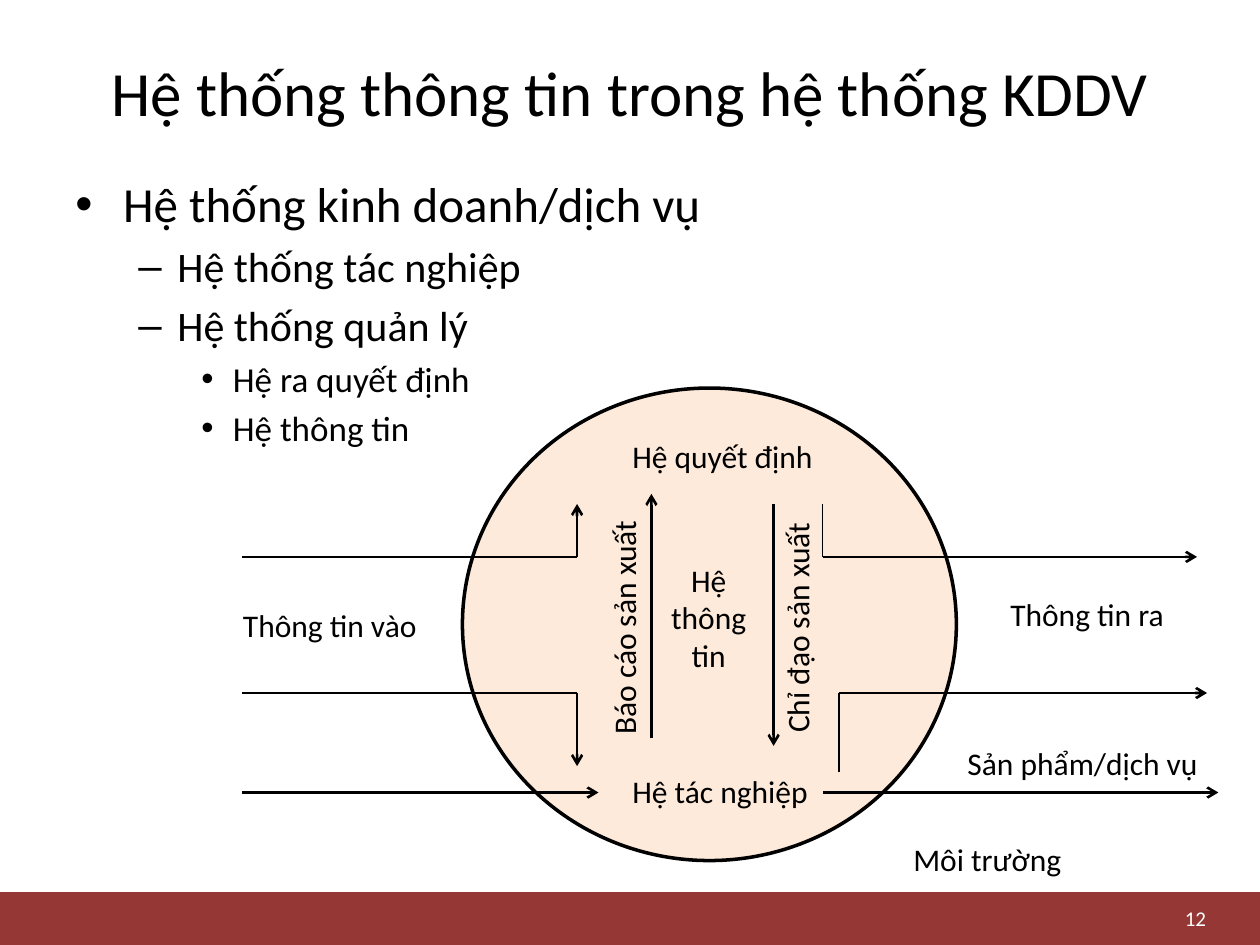
from itertools import pairwise

from lxml.etree import SubElement
from pptx import Presentation
from pptx.dml.color import RGBColor
from pptx.enum.shapes import MSO_CONNECTOR as Connector, MSO_SHAPE as Shape
from pptx.enum.text import MSO_ANCHOR as Anchor, PP_ALIGN as Align
from pptx.oxml.ns import qn
from pptx.util import Inches, Pt

BLACK = RGBColor(0x00, 0x00, 0x00)
WHITE = RGBColor(0xFF, 0xFF, 0xFF)
MAROON = RGBColor(0x95, 0x37, 0x35)
PEACH = RGBColor(0xFD, 0xEA, 0xDA)

# Each level: bullet, size in points, left indent and hanging width in inches
LEVELS = [("•", 28, 0.38, 0.38), ("–", 24, 0.81, 0.31), ("•", 20, 1.25, 0.25)]

OUTLINE = [
    (0, "Hệ thống kinh doanh/dịch vụ"),
    (1, "Hệ thống tác nghiệp"),
    (1, "Hệ thống quản lý"),
    (2, "Hệ ra quyết định"),
    (2, "Hệ thông tin"),
]

# Text, left, top, width
LABELS = [
    ("Hệ quyết định", 4.92, 3.42, 1.65),
    ("Hệ tác nghiệp", 4.92, 6.08, 1.61),
    ("Thông tin vào", 1.83, 4.76, 1.6),
    ("Thông tin ra", 7.92, 4.67, 1.44),
    ("Sản phẩm/dịch vụ", 7.58, 5.86, 2.08),
    ("Môi trường", 7.15, 6.62, 1.39),
]
VERTICAL_LABELS = [
    ("Báo cáo sản xuất", 3.99, 4.77, 1.92),
    ("Chỉ đạo sản xuất", 5.38, 4.77, 1.89),
]

UPPER_FLOW, LOWER_FLOW, BOTTOM_FLOW = 4.42, 5.5, 6.29
INPUT_LEFT, INPUT_TURN = 1.92, 4.58
OUTPUT_LEFT, OUTPUT_TURN = 6.53, 6.66
FLOWS = [
    [(INPUT_LEFT, UPPER_FLOW), (INPUT_TURN, UPPER_FLOW), (INPUT_TURN, 4)],
    [(INPUT_LEFT, LOWER_FLOW), (INPUT_TURN, LOWER_FLOW), (INPUT_TURN, 6.08)],
    [(INPUT_LEFT, BOTTOM_FLOW), (4.75, BOTTOM_FLOW)],
    [(OUTPUT_LEFT, UPPER_FLOW), (9.5, UPPER_FLOW)],
    [(OUTPUT_TURN, 6.13), (OUTPUT_TURN, LOWER_FLOW), (9.58, LOWER_FLOW)],
    [(OUTPUT_LEFT, BOTTOM_FLOW), (9.67, BOTTOM_FLOW)],
    [(5.17, 5.86), (5.17, 3.92)],
    [(6.14, 4), (6.14, 5.92)],
]


class SlideBuilder:
    font = "Calibri"

    def __init__(self, slide):
        self.slide = slide

    def shape(self, kind, left, top, width, height, fill, line_width=None):
        shape = self.slide.shapes.add_shape(
            kind, Inches(left), Inches(top), Inches(width), Inches(height))
        shape.shadow.inherit = False
        shape.fill.solid()
        shape.fill.fore_color.rgb = fill
        if line_width:
            shape.line.color.rgb = BLACK
            shape.line.width = Pt(line_width)
        else:
            shape.line.fill.background()

    def box(self, left, top, width, height, anchor=Anchor.TOP, wrap=True, rotation=0):
        """Add an empty text box and return its text frame."""
        box = self.slide.shapes.add_textbox(
            Inches(left), Inches(top), Inches(width), Inches(height))
        box.rotation = rotation
        frame = box.text_frame
        frame.word_wrap = wrap
        frame.vertical_anchor = anchor
        return frame

    def add_run(self, paragraph, text, size=18, color=BLACK, align=Align.LEFT):
        paragraph.alignment = align
        run = paragraph.add_run()
        run.text = text
        run.font.name = self.font
        run.font.size = Pt(size)
        run.font.color.rgb = color

    def text(self, text, left, top, width, height=0.4, anchor=Anchor.TOP,
             wrap=False, rotation=0, **style):
        frame = self.box(left, top, width, height, anchor, wrap, rotation)
        self.add_run(frame.paragraphs[0], text, **style)

    def outline(self, items, left, top, width, height):
        frame = self.box(left, top, width, height)
        for index, (level, text) in enumerate(items):
            paragraph = frame.add_paragraph() if index else frame.paragraphs[0]
            bullet, size, indent, hanging = LEVELS[level]
            self.add_run(paragraph, text, size=size)
            paragraph.level = level
            paragraph.space_before = Pt(0.2 * size)
            properties = paragraph._p.get_or_add_pPr()
            properties.set("marL", str(Inches(indent)))
            properties.set("indent", str(-Inches(hanging)))
            SubElement(properties, qn("a:buFont"), typeface="Arial")
            SubElement(properties, qn("a:buChar"), char=bullet)

    def line(self, start, end, width=1.5, arrow=False):
        line = self.slide.shapes.add_connector(
            Connector.STRAIGHT, *map(Inches, start + end))
        line.line.color.rgb = BLACK
        line.line.width = Pt(width)
        properties = line._element.spPr
        if arrow:
            SubElement(properties.find(qn("a:ln")), qn("a:tailEnd"), type="arrow")
        SubElement(properties, qn("a:effectLst"))

    def flow(self, points):
        """Draw straight segments through the points, with an arrowhead at the last."""
        for start, end in pairwise(points):
            self.line(start, end, arrow=end == points[-1])


def main():
    presentation = Presentation()
    presentation.slide_width = Inches(10)
    presentation.slide_height = Inches(7.5)
    builder = SlideBuilder(presentation.slides.add_slide(presentation.slide_layouts[6]))

    builder.shape(Shape.RECTANGLE, 0, 7.08, 10, 0.42, MAROON)
    builder.text("12", 6.92, 7.12, 2.75, 0.33, anchor=Anchor.MIDDLE, wrap=True,
                 size=12, color=WHITE, align=Align.RIGHT)
    builder.text("Hệ thống thông tin trong hệ thống KDDV", 0.5, 0.25, 9, 0.95,
                 anchor=Anchor.MIDDLE, wrap=True, size=36, align=Align.CENTER)
    builder.outline(OUTLINE, 0.5, 1.33, 9, 2.44)

    builder.shape(Shape.OVAL, 3.67, 3.08, 3.92, 3.75, PEACH, line_width=2)
    for points in FLOWS:
        builder.flow(points)
    builder.line((OUTPUT_LEFT, 4), (OUTPUT_LEFT, UPPER_FLOW), width=0.75)

    for label in LABELS:
        builder.text(*label)
    for label in VERTICAL_LABELS:
        builder.text(*label, rotation=270)
    builder.text("Hệ thông tin", 5.21, 4.4, 0.83, 1.01, wrap=True, align=Align.CENTER)

    presentation.save("out.pptx")


if __name__ == "__main__":
    main()
